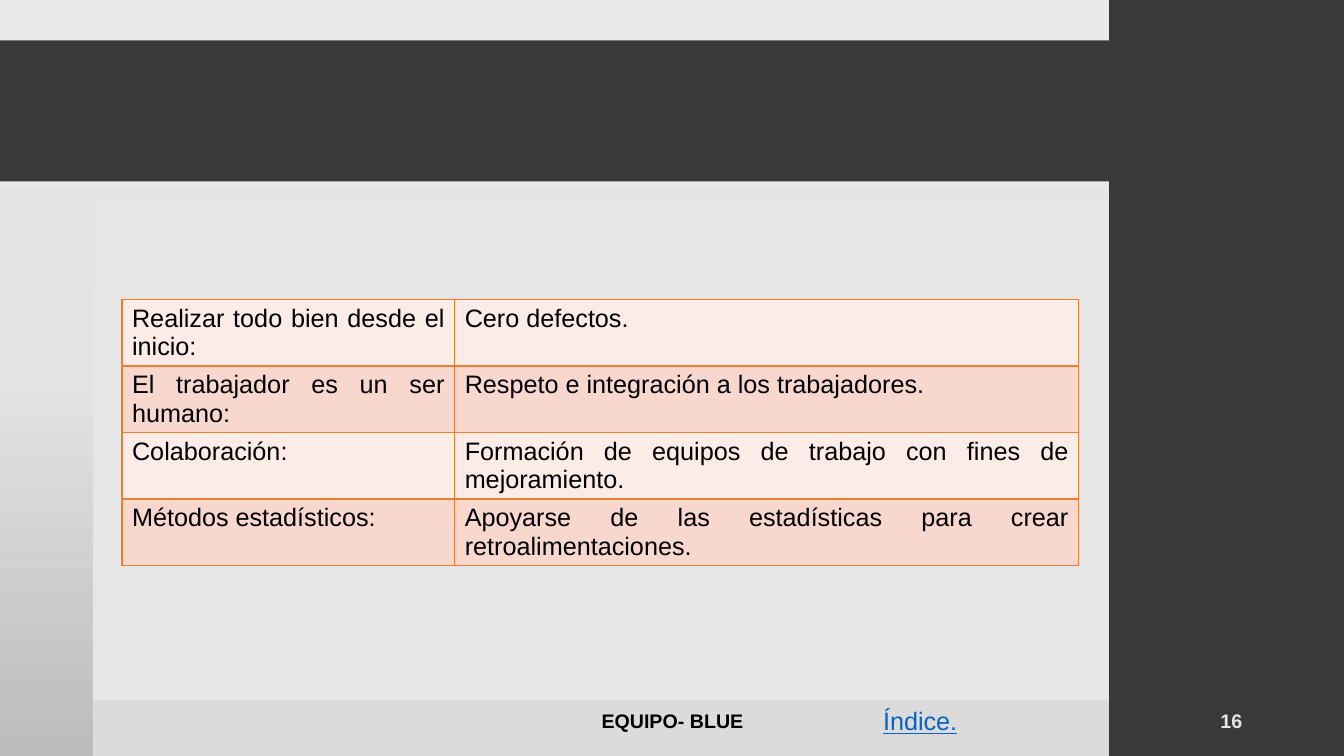
from copy import deepcopy

from lxml.etree import SubElement
from pptx import Presentation
from pptx.dml.color import RGBColor
from pptx.enum.shapes import MSO_SHAPE as Shape
from pptx.enum.text import MSO_ANCHOR as Anchor, PP_ALIGN as Align
from pptx.oxml.ns import qn
from pptx.util import Inches, Pt

DARK = "3B3838"
LIGHT = "E7E6E6"
BAND_FILLS = ["FCECE8", "F8D7CE"]
PRINCIPLES = [
    ("Realizar todo bien desde el inicio:", "Cero defectos."),
    ("El trabajador es un ser humano: ", "Respeto e integración a los trabajadores."),
    ("Colaboración: ", "Formación de equipos de trabajo con fines de mejoramiento."),
    ("Métodos estadísticos:", "Apoyarse de las estadísticas para crear retroalimentaciones."),
]


def rgb(value):
    return RGBColor.from_string(value)


def apply(target, values):
    for name, value in values.items():
        setattr(target, name, value)


class SlideBuilder:
    font_name = "Arial"
    border_color = "ED7D31"
    border_width = Pt(1)

    def __init__(self, page):
        self.page = page

    def background(self, stops):
        fill = self.page.background.fill
        fill.gradient()
        fill.gradient_angle = 270
        stop_list = next(self.page.element.iter(qn("a:gsLst")))
        while len(stop_list) < len(stops):
            stop_list.append(deepcopy(stop_list[0]))
        for stop, (position, color) in zip(fill.gradient_stops, stops):
            stop.position = position
            stop.color.rgb = rgb(color)

    def panel(self, area, color):
        panel = self.page.shapes.add_shape(Shape.RECTANGLE, *map(Inches, area))
        panel.shadow.inherit = False
        panel.fill.solid()
        panel.fill.fore_color.rgb = rgb(color)
        panel.line.fill.background()

    def fill_text(self, frame, text, color="000000", align=Align.LEFT, **style):
        para = frame.paragraphs[0]
        para.alignment = align
        span = para.add_run()
        span.text = text
        apply(span.font, {"name": self.font_name, "size": Pt(18), **style})
        span.font.color.rgb = rgb(color)

    def label(self, area, text, anchor=Anchor.MIDDLE, **style):
        box = self.page.shapes.add_textbox(*map(Inches, area))
        apply(box.text_frame, {"word_wrap": True, "vertical_anchor": anchor})
        self.fill_text(box.text_frame, text, **style)

    def border(self, cell):
        properties = cell._tc.get_or_add_tcPr()
        for side in ("lnL", "lnR", "lnT", "lnB"):
            line = SubElement(properties, qn(f"a:{side}"), w=str(self.border_width))
            fill = SubElement(line, qn("a:solidFill"))
            SubElement(fill, qn("a:srgbClr"), val=self.border_color)

    def table(self, left, top, widths, row_height, rows):
        area = (left, top, sum(widths), row_height * len(rows))
        table = self.page.shapes.add_table(
            len(rows), len(widths), *map(Inches, area)).table
        apply(table, {"first_row": False, "horz_banding": False})
        for column, width in zip(table.columns, widths):
            column.width = Inches(width)
        for row_index, texts in enumerate(rows):
            for column_index, text in enumerate(texts):
                cell = table.cell(row_index, column_index)
                self.border(cell)
                cell.fill.solid()
                cell.fill.fore_color.rgb = rgb(BAND_FILLS[row_index % 2])
                self.fill_text(cell.text_frame, text, align=Align.JUSTIFY)


def main():
    deck = Presentation()
    apply(deck, {"slide_width": Inches(13.33), "slide_height": Inches(7.5)})
    slide = SlideBuilder(deck.slides.add_slide(deck.slide_layouts[6]))

    slide.background([(0, "EBEAEA"), (0.5, "E4E3E3"), (1, "BDBCBC")])
    slide.panel((0, 0.4, 11, 1.4), DARK)
    slide.panel((0.92, 2, 10.08, 4.95), LIGHT)
    slide.panel((0.92, 6.95, 11.85, 0.55), "DBDBDB")
    slide.panel((11, 0, 2.33, 7.5), DARK)

    slide.table(1.21, 2.97, [3.3, 6.19], 0.66, PRINCIPLES)

    footer = {"size": Pt(14), "bold": True}
    slide.label((4.42, 6.95, 4.5, 0.4), "EQUIPO- BLUE", align=Align.CENTER, **footer)
    slide.label((9.42, 6.95, 3, 0.4), "16", color=LIGHT, align=Align.RIGHT, **footer)
    slide.label((8.66, 6.95, 2.26, 0.4), "Índice.", anchor=Anchor.TOP,
                color="0563C1", underline=True)

    deck.save("out.pptx")


if __name__ == "__main__":
    main()
